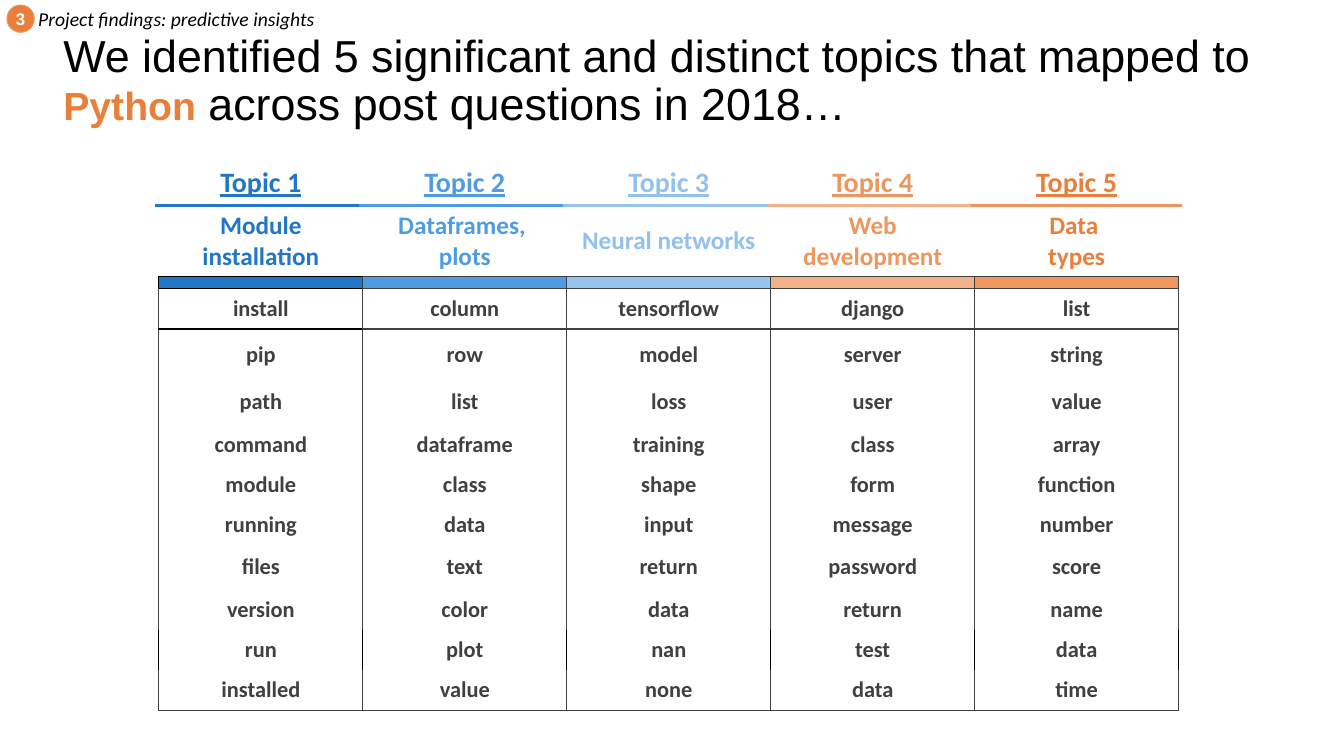
from dataclasses import dataclass

import lxml.etree
import pptx
import pptx.dml.color
import pptx.enum.shapes
import pptx.enum.text
import pptx.oxml.ns
import pptx.util

Pt = pptx.util.Pt
Align = pptx.enum.text.PP_ALIGN
Anchor = pptx.enum.text.MSO_ANCHOR
qn = pptx.oxml.ns.qn


@dataclass(frozen=True)
class Theme:
    heading_font: str = "Arial"
    body_font: str = "Calibri"
    black: str = "000000"
    white: str = "FFFFFF"
    gray: str = "404040"
    orange: str = "EA7F3B"
    light_orange: str = "EE965E"
    title_size: float = 32
    keyword_size: float = 28
    topic_size: float = 20
    label_size: float = 18
    word_size: float = 16
    section_size: float = 14
    badge_size: float = 12
    spacer_size: float = 1


THEME = Theme()


@dataclass(frozen=True)
class Style:
    size: float
    color: str
    font: str = THEME.body_font
    bold: bool = False
    italic: bool = False
    underline: bool = False


@dataclass(frozen=True)
class Topic:
    label: tuple[str, ...]
    color: str
    bar: str
    words: str


@dataclass(frozen=True)
class Border:
    color: str
    width: float = 1


TOPICS = [
    Topic(("Module installation",), "2176C5", "2176C5",
          "install pip path command module running files version run installed"),
    Topic(("Dataframes, ", "plots"), "509CE2", "509CE2",
          "column row list dataframe class data text color plot value"),
    Topic(("Neural networks",), "92C1ED", "96C4EE",
          "tensorflow model loss training shape input return data nan none"),
    Topic(("Web development",), THEME.light_orange, "F2B289",
          "django server user class form message password return test data"),
    Topic(("Data ", "types"), THEME.orange, THEME.light_orange,
          "list string value array function number score name data time"),
]
HEADING_HEIGHTS = [32.2, 50.6, 9]
WORD_HEIGHTS = [28.8, 36.5, 31.5, 28.8, 28.8, 28.8, 31.5, 28.8, 28.8, 28.8]
COLUMN_WIDTH = 145.7
BLACK_SIDED_WORD = 8
PLAIN_TABLE_STYLE = "{2D5ABB26-0587-4C30-8999-92F81FD0307C}"


def rgb(color: str) -> pptx.dml.color.RGBColor:
    return pptx.dml.color.RGBColor.from_string(color)


def add_span(para, text: str, style: Style) -> None:
    span = para.add_run()
    span.text = text
    font = span.font
    font.name, font.size = style.font, Pt(style.size)
    font.bold, font.italic, font.underline = style.bold, style.italic, style.underline
    font.color.rgb = rgb(style.color)


def add_text_box(page, left: float, top: float, width: float, height: float,
                 spans: list[tuple[str, Style]], wrap: bool = True):
    box = page.shapes.add_textbox(Pt(left), Pt(top), Pt(width), Pt(height))
    box.text_frame.word_wrap = wrap
    for text, style in spans:
        add_span(box.text_frame.paragraphs[0], text, style)
    return box


def add_badge(page, text: str) -> None:
    badge = page.shapes.add_shape(pptx.enum.shapes.MSO_SHAPE.OVAL,
                                  Pt(5), Pt(3.6), Pt(19.5), Pt(19.5))
    badge.shadow.inherit = False
    badge.fill.solid()
    badge.fill.fore_color.rgb = rgb(THEME.orange)
    badge.line.color.rgb = rgb(THEME.light_orange)
    badge.line.width = Pt(0.75)
    frame = badge.text_frame
    frame.margin_left = frame.margin_right = Pt(3.6)
    frame.margin_top = frame.margin_bottom = Pt(3.6)
    frame.vertical_anchor = Anchor.MIDDLE
    frame.word_wrap = False
    para = frame.paragraphs[0]
    para.alignment = Align.CENTER
    add_span(para, text, Style(THEME.badge_size, THEME.white, THEME.heading_font, bold=True))


def set_borders(cell, **borders: Border) -> None:
    properties = cell._tc.get_or_add_tcPr()
    for side in "LRTB":
        if side in borders:
            border = borders[side]
            line = lxml.etree.SubElement(properties, qn(f"a:ln{side}"),
                                         w=str(int(Pt(border.width))))
            fill = lxml.etree.SubElement(line, qn("a:solidFill"))
            lxml.etree.SubElement(fill, qn("a:srgbClr"), val=border.color)


def fill_cell(cell, color: str, opacity: int = 100) -> None:
    cell.fill.solid()
    cell.fill.fore_color.rgb = rgb(color)
    if opacity < 100:
        tint = cell._tc.tcPr.find(f".//{qn('a:solidFill')}[last()]")
        tint = cell._tc.tcPr.find(f"{qn('a:solidFill')}/{qn('a:srgbClr')}")
        lxml.etree.SubElement(tint, qn("a:alpha"), val=str(opacity * 1000))


def write_cell(cell, lines: tuple[str, ...], style: Style) -> None:
    cell.vertical_anchor = Anchor.MIDDLE
    for index, line in enumerate(lines):
        frame = cell.text_frame
        para = frame.add_paragraph() if index else frame.paragraphs[0]
        para.alignment = Align.CENTER
        add_span(para, line, style)


def add_topic_column(table, column: int, topic: Topic) -> None:
    heading, label, bar = (table.cell(row, column) for row in range(3))
    gap = Border(THEME.white, 6)
    rule = Border(topic.bar, 2.25)
    edge = Border(THEME.gray)
    bar_edge = edge if column else Border(THEME.black)

    write_cell(heading, (f"Topic {column + 1}",),
               Style(THEME.topic_size, topic.color, bold=True, underline=True))
    set_borders(heading, L=gap, R=gap, B=rule)
    write_cell(label, topic.label, Style(THEME.label_size, topic.color, bold=True))
    set_borders(label, L=gap, R=gap, T=rule, B=bar_edge)
    for cell in (heading, label):
        cell.fill.background()

    bar.margin_top = bar.margin_bottom = 0
    lxml.etree.SubElement(bar.text_frame.paragraphs[0]._p, qn("a:endParaRPr"),
                          sz=str(int(THEME.spacer_size * 100)))
    set_borders(bar, L=bar_edge, R=bar_edge, T=bar_edge, B=bar_edge)
    fill_cell(bar, topic.bar)

    words = topic.words.split()
    for index, word in enumerate(words):
        cell = table.cell(index + len(HEADING_HEIGHTS), column)
        write_cell(cell, (word,), Style(THEME.word_size, THEME.gray, bold=True))
        side = Border(THEME.black) if index == BLACK_SIDED_WORD else edge
        borders = {"L": side, "R": side}
        if index == 0:
            borders["T"] = bar_edge
        if index == len(words) - 1:
            borders["B"] = edge
        set_borders(cell, **borders)
        fill_cell(cell, THEME.white, opacity=20)


def add_topic_table(page) -> None:
    heights = HEADING_HEIGHTS + WORD_HEIGHTS
    frame = page.shapes.add_table(len(heights), len(TOPICS), Pt(113.5), Pt(114.5),
                                  Pt(COLUMN_WIDTH * len(TOPICS)), Pt(sum(heights)))
    table = frame.table
    table.first_row = table.horz_banding = False
    table._tbl.tblPr.find(qn("a:tableStyleId")).text = PLAIN_TABLE_STYLE
    for row, height in zip(table.rows, heights):
        row.height = Pt(height)
    for index, topic in enumerate(TOPICS):
        table.columns[index].width = Pt(COLUMN_WIDTH)
        add_topic_column(table, index, topic)


def main() -> None:
    deck = pptx.Presentation()
    deck.slide_width, deck.slide_height = Pt(960), Pt(540)
    page = deck.slides.add_slide(deck.slide_layouts[6])
    plain = Style(THEME.title_size, THEME.black, THEME.heading_font)
    keyword = Style(THEME.keyword_size, THEME.orange, THEME.heading_font, bold=True)
    title = add_text_box(page, 38.2, 27.4, 878.4, 62.6, [
        ("We identified 5 significant and distinct topics that mapped to ", plain),
        ("Python", keyword), (" across post questions in 2018…", plain)])
    title.text_frame.vertical_anchor = Anchor.MIDDLE
    title.text_frame.paragraphs[0].line_spacing = 0.9
    title.text_frame.paragraphs[0].space_before = Pt(10)
    add_topic_table(page)
    add_badge(page, "3")
    add_text_box(page, 20.2, 1.4, 216.7, 24.5, [
        ("Project findings: predictive insights",
         Style(THEME.section_size, THEME.black, italic=True))], wrap=False)
    deck.save("out.pptx")


if __name__ == "__main__":
    main()
